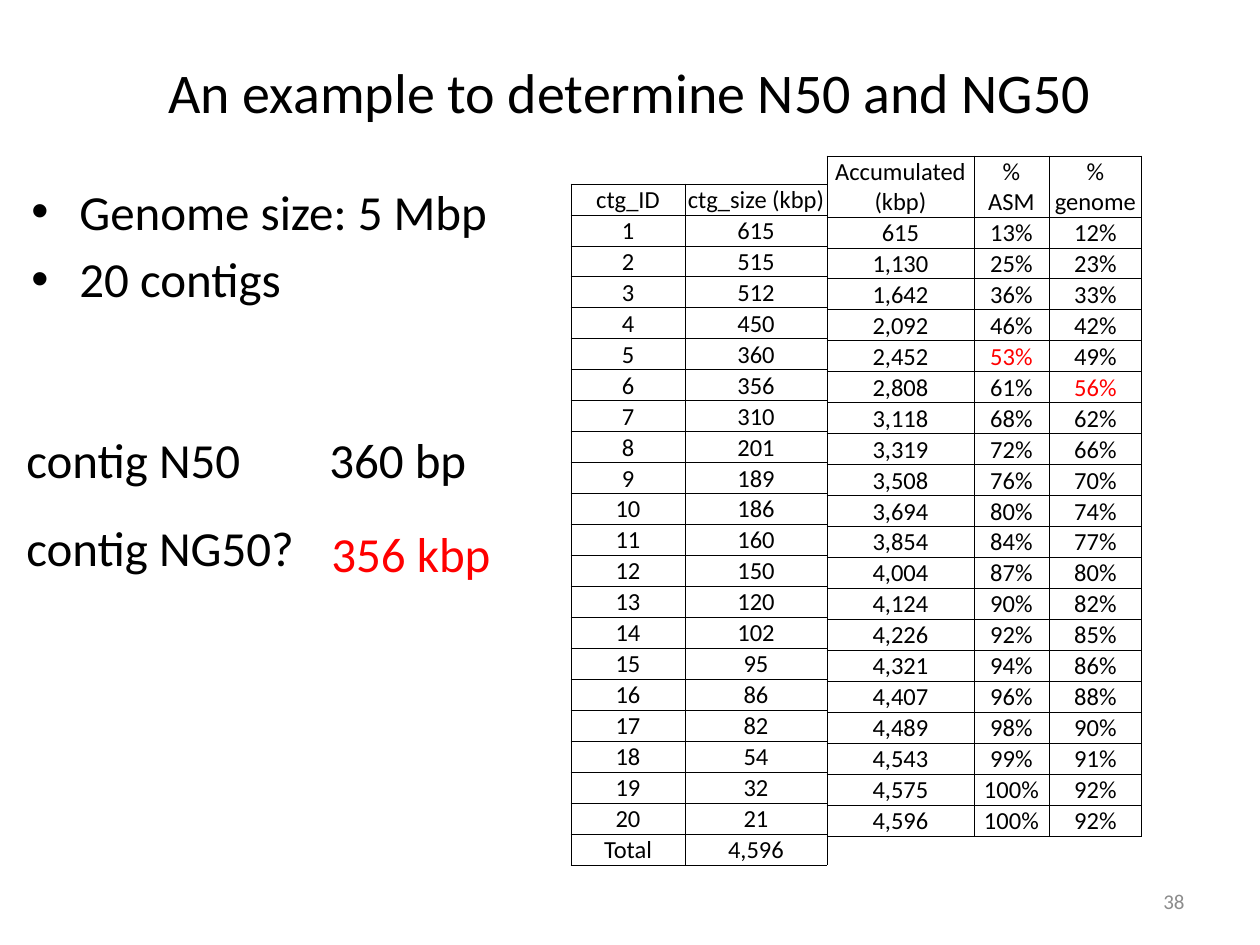
from itertools import accumulate
from lxml import etree
from pptx import Presentation
from pptx import util as u
from pptx.dml.color import RGBColor
from pptx.enum import text as t
from pptx.oxml import ns

BLACK = RGBColor(0, 0, 0)
RED = RGBColor(255, 0, 0)
GRAY = RGBColor(0x8C, 0x8C, 0x8C)
WHITE = RGBColor(255, 255, 255)
FONT = "Calibri"
LEFT, MID, RIGHT = t.PP_ALIGN.LEFT, t.PP_ALIGN.CENTER, t.PP_ALIGN.RIGHT
GENOME = 5000
SIZES = [615, 515, 512, 450, 360, 356, 310, 201, 189, 186,
         160, 150, 120, 102, 95, 86, 82, 54, 32, 21]
ROW = 31


def px(n):
    return u.Emu(round(n * 914400 / 126))


def add_xml(node, tag, **attrs):
    child = etree.SubElement(node, ns.qn(tag))
    for key, val in attrs.items():
        child.set(key, str(val))
    return child


def write(frame, words, size=28, color=BLACK, align=LEFT, lead=None,
          before=0, bullet=0, tab=0):
    """Fill a text frame, one paragraph for each line of words."""
    for i, line in enumerate(words.split("\n")):
        para = frame.add_paragraph() if i else frame.paragraphs[0]
        para.alignment = align
        props = para._p.get_or_add_pPr()
        if bullet:
            props.set("marL", str(px(bullet)))
            props.set("indent", str(-px(bullet)))
            add_xml(props, "a:buFont", typeface="Arial")
            add_xml(props, "a:buChar", char="•")
        if tab:
            stops = add_xml(props, "a:tabLst")
            add_xml(stops, "a:tab", pos=px(tab), algn="l")
        if lead:
            para.line_spacing = lead
        if before and i:
            para.space_before = u.Pt(before)
        run = para.add_run()
        run.text = line
        run.font.name = FONT
        run.font.size = u.Pt(size)
        run.font.color.rgb = color


def label(slide, box, words, anchor=t.MSO_ANCHOR.TOP, wrap=True, **style):
    frame = slide.shapes.add_textbox(*map(px, box)).text_frame
    frame.word_wrap = wrap
    if not wrap:
        frame.auto_size = t.MSO_AUTO_SIZE.SHAPE_TO_FIT_TEXT
    frame.vertical_anchor = anchor
    write(frame, words, **style)


def rule(cell):
    """Draw a thin black line on each side of a cell."""
    props = cell._tc.get_or_add_tcPr()
    for side in ("a:lnL", "a:lnR", "a:lnT", "a:lnB"):
        line = add_xml(props, side, w=u.Pt(0.5))
        add_xml(add_xml(line, "a:solidFill"), "a:srgbClr", val=BLACK)


def grid(slide, left, top, widths, rows, head=ROW, marks=()):
    """Place a ruled table; marks are the (row, column) cells in red."""
    heights = [head] + [ROW] * (len(rows) - 1)
    box = (left, top, sum(widths), sum(heights))
    table = slide.shapes.add_table(len(rows), len(widths), *map(px, box)).table
    table.first_row = table.horz_banding = False
    for col, wide in zip(table.columns, widths):
        col.width = px(wide)
    for r, row in enumerate(rows):
        table.rows[r].height = px(heights[r])
        for c, words in enumerate(row):
            cell = table.cell(r, c)
            cell.margin_left = cell.margin_right = cell.margin_top = px(1)
            cell.margin_bottom = 0
            cell.vertical_anchor = t.MSO_ANCHOR.BOTTOM
            rule(cell)
            cell.fill.solid()
            cell.fill.fore_color.rgb = WHITE
            write(cell.text_frame, words, size=14, align=MID,
                  color=RED if (r, c) in marks else BLACK)


def share(part, whole):
    """Percentage, with halves rounded up."""
    return f"{(200 * part + whole) // (2 * whole)}%"


def notes(slide, left, top):
    """Facts and answers on the left side."""
    label(slide, (left + 5, top, 523, 152), "Genome size: 5 Mbp\n20 contigs",
          bullet=48, before=5)
    label(slide, (left, top + 219, 478, 181),
          "contig N50\t360 bp\ncontig NG50?", lead=1.5, tab=303)
    label(slide, (left + 305, top + 313, 186, 92), "356 kbp", wrap=False,
          color=RED, lead=1.5)


def tables(slide, left, top):
    """Contig sizes, and beside them the running totals."""
    total = sum(SIZES)
    sizes = [("ctg_ID", "ctg_size (kbp)")]
    sizes += [(str(i), str(size)) for i, size in enumerate(SIZES, 1)]
    sizes.append(("Total", f"{total:,}"))
    sums = [("Accumulated (kbp)", "%\nASM", "%\ngenome")]
    sums += [(f"{acc:,}", share(acc, total), share(acc, GENOME))
             for acc in accumulate(SIZES)]
    wide = (114, 142)
    grid(slide, left, top + 28, wide, sizes)
    grid(slide, left + sum(wide), top, (147, 75, 93), sums, head=61,
         marks={(5, 1), (6, 2)})


def main():
    deck = Presentation()
    deck.slide_width, deck.slide_height = px(1260), px(945)
    slide = deck.slides.add_slide(deck.slide_layouts[6])
    # Title
    label(slide, (63, 38, 1134, 107), "An example to determine N50 and NG50",
          anchor=t.MSO_ANCHOR.MIDDLE, size=32, align=MID)
    # Content
    notes(slide, 14, 175)
    tables(slide, 571, 156)
    # Page number
    label(slide, (903, 876, 294, 50), "38", anchor=t.MSO_ANCHOR.MIDDLE,
          size=12, color=GRAY, align=RIGHT)
    deck.save("out.pptx")


if __name__ == "__main__":
    main()
